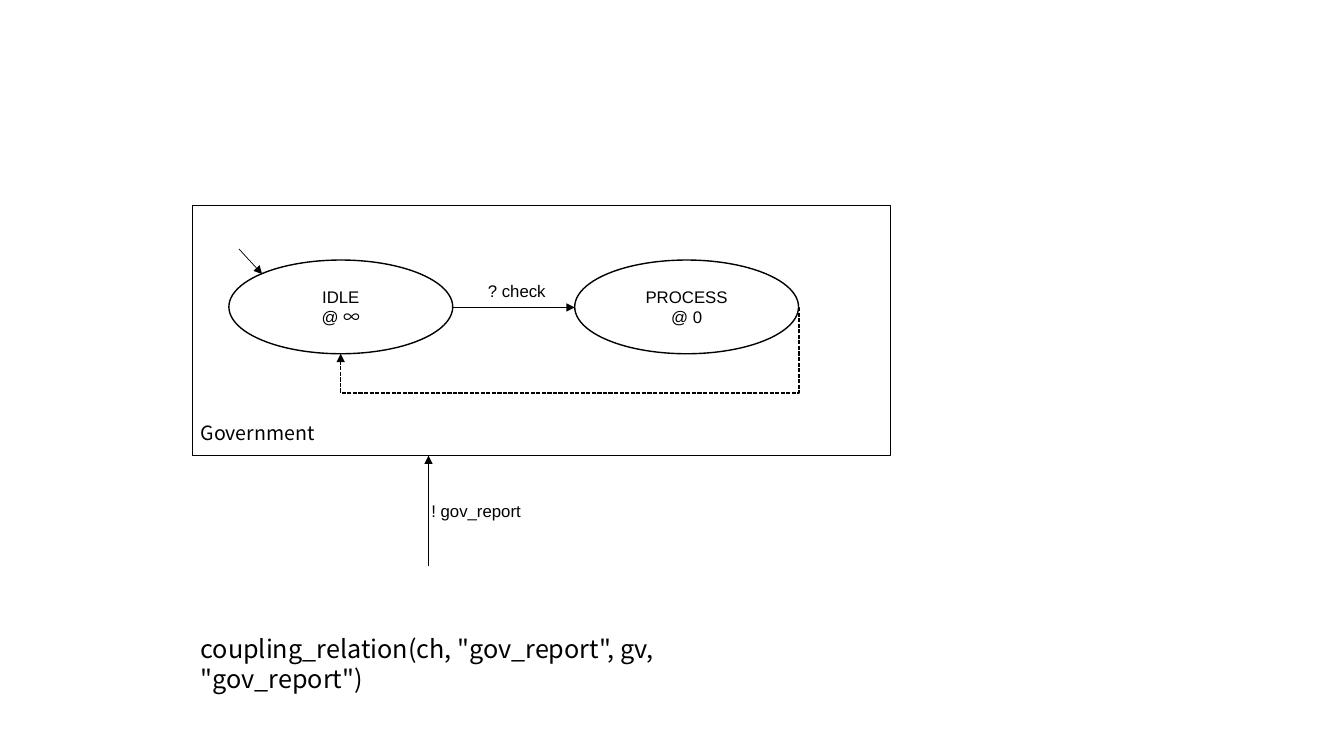
from lxml import etree
from pptx import Presentation
from pptx.dml.color import RGBColor
from pptx.enum import dml, shapes, text
from pptx.oxml import ns
from pptx.util import Inches, Pt

BLACK = RGBColor(0, 0, 0)
WHITE = RGBColor(255, 255, 255)
LATIN = "Arial"
KOREAN = "Noto Sans CJK KR"
OVAL_W, OVAL_H = 2.22, 0.93
OVAL_TOP = 2.58
MID = 3.05
IDLE_X, PROC_X = 2.27, 5.7


def style(para, size, font):
    """Set the font of a whole paragraph."""
    para.font.size = Pt(size)
    para.font.name = font
    para.font.color.rgb = BLACK


def add_box(slide, kind, left, top, width, height):
    """Add an outlined shape without fill or shadow."""
    box = slide.shapes.add_shape(
        kind, Inches(left), Inches(top), Inches(width), Inches(height))
    box.shadow.inherit = False
    box.fill.background()
    box.line.color.rgb = BLACK
    box.line.width = Pt(1)
    return box


def add_state(slide, left, name, time):
    """Add a state oval with its name and time advance."""
    oval = add_box(slide, shapes.MSO_SHAPE.OVAL, left, OVAL_TOP, OVAL_W, OVAL_H)
    oval.fill.solid()
    oval.fill.fore_color.rgb = WHITE
    frame = oval.text_frame
    frame.vertical_anchor = text.MSO_ANCHOR.MIDDLE
    frame.text = f"{name}\n@ "
    for para in frame.paragraphs:
        para.alignment = text.PP_ALIGN.CENTER
        style(para, 12, LATIN)
    run = frame.paragraphs[1].add_run()
    run.text = time
    if time == "∞":
        run.font.name = KOREAN


def add_label(slide, left, top, width, height, words, size=12, font=LATIN):
    """Add a text box with one paragraph."""
    box = slide.shapes.add_textbox(
        Inches(left), Inches(top), Inches(width), Inches(height))
    box.text_frame.word_wrap = True
    para = box.text_frame.paragraphs[0]
    para.text = words
    style(para, size, font)


def add_arrow(slide, start, end, width=1, kind=shapes.MSO_CONNECTOR.STRAIGHT):
    """Add a connector with a triangle head at its end."""
    arrow = slide.shapes.add_connector(kind, *map(Inches, start + end))
    arrow.line.color.rgb = BLACK
    arrow.line.width = Pt(width)
    line = arrow.line._get_or_add_ln()
    etree.SubElement(line, ns.qn("a:tailEnd"), type="triangle")
    etree.SubElement(arrow._element.spPr, ns.qn("a:effectLst"))
    return arrow


def add_return(slide, start, end):
    """Add the dashed arrow that runs below both states."""
    arrow = add_arrow(slide, start, end, kind=shapes.MSO_CONNECTOR.ELBOW)
    arrow.line.dash_style = dml.MSO_LINE.SQUARE_DOT
    geom = arrow._element.spPr.find(ns.qn("a:prstGeom"))
    geom.set("prst", "bentConnector4")
    guides = geom.find(ns.qn("a:avLst"))
    if guides is None:
        guides = etree.SubElement(geom, ns.qn("a:avLst"))
    for name, value in (("adj1", -100), ("adj2", 184700)):
        etree.SubElement(guides, ns.qn("a:gd"), name=name, fmla=f"val {value}")


def main():
    """Build the state diagram slide."""
    deck = Presentation()
    deck.slide_width, deck.slide_height = Inches(13.33), Inches(7.5)
    slide = deck.slides.add_slide(deck.slide_layouts[6])

    add_state(slide, IDLE_X, "IDLE", "∞")
    add_label(slide, 4.74, 2.74, 0.86, 0.3, "? check")
    add_box(slide, shapes.MSO_SHAPE.RECTANGLE, 1.91, 2.04, 6.92, 2.48)
    add_arrow(slide, (IDLE_X + OVAL_W, MID), (PROC_X, MID))
    add_label(slide, 1.89, 4.13, 1.49, 0.34, "Government", 14, KOREAN)
    add_state(slide, PROC_X, "PROCESS", "0")
    add_return(slide, (PROC_X + OVAL_W, MID),
               (IDLE_X + OVAL_W / 2, OVAL_TOP + OVAL_H))
    add_label(slide, 4.18, 4.92, 1.3, 0.3, "! gov_report")
    add_arrow(slide, (4.25, 5.62), (4.25, 4.52))
    add_arrow(slide, (2.37, 2.47), (2.6, 2.72), 0.5)
    add_label(slide, 1.89, 6.23, 6.15, 0.4,
              'coupling_relation(ch, "gov_report", gv, "gov_report")', 18, KOREAN)
    deck.save("out.pptx")


main()
